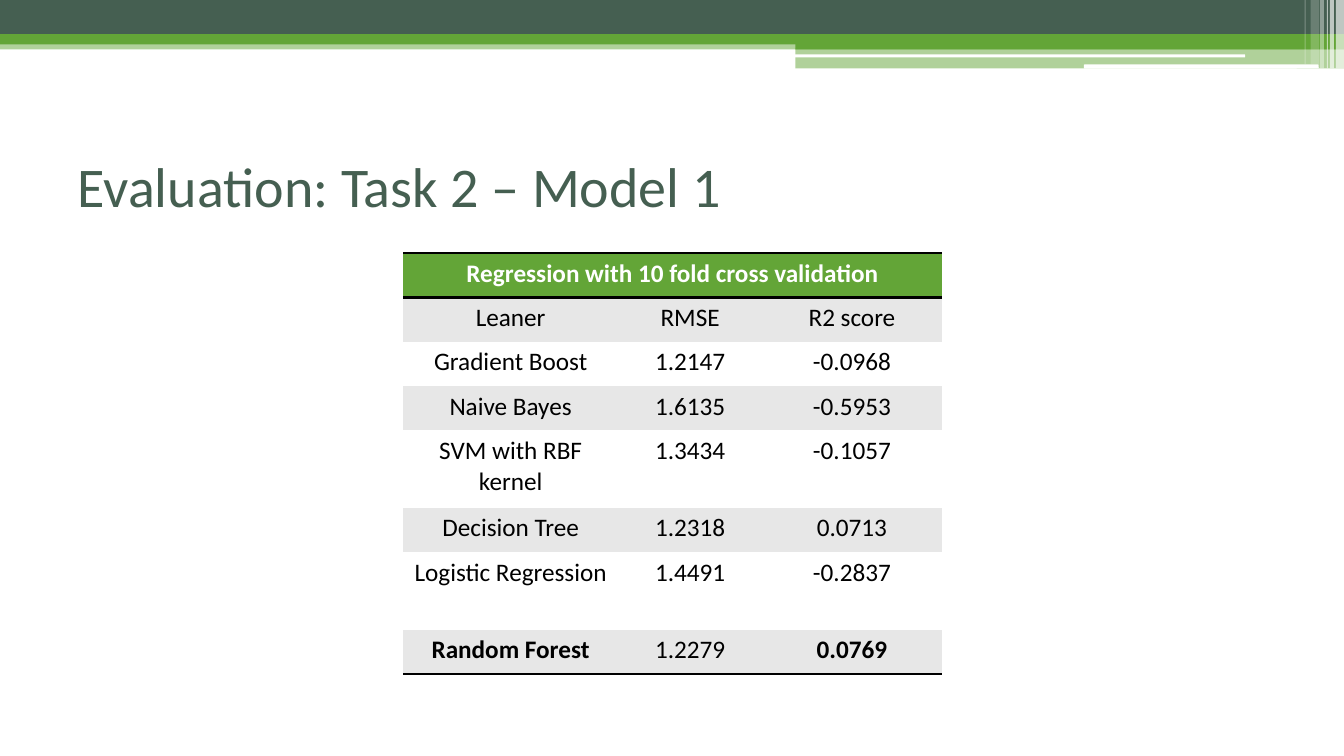
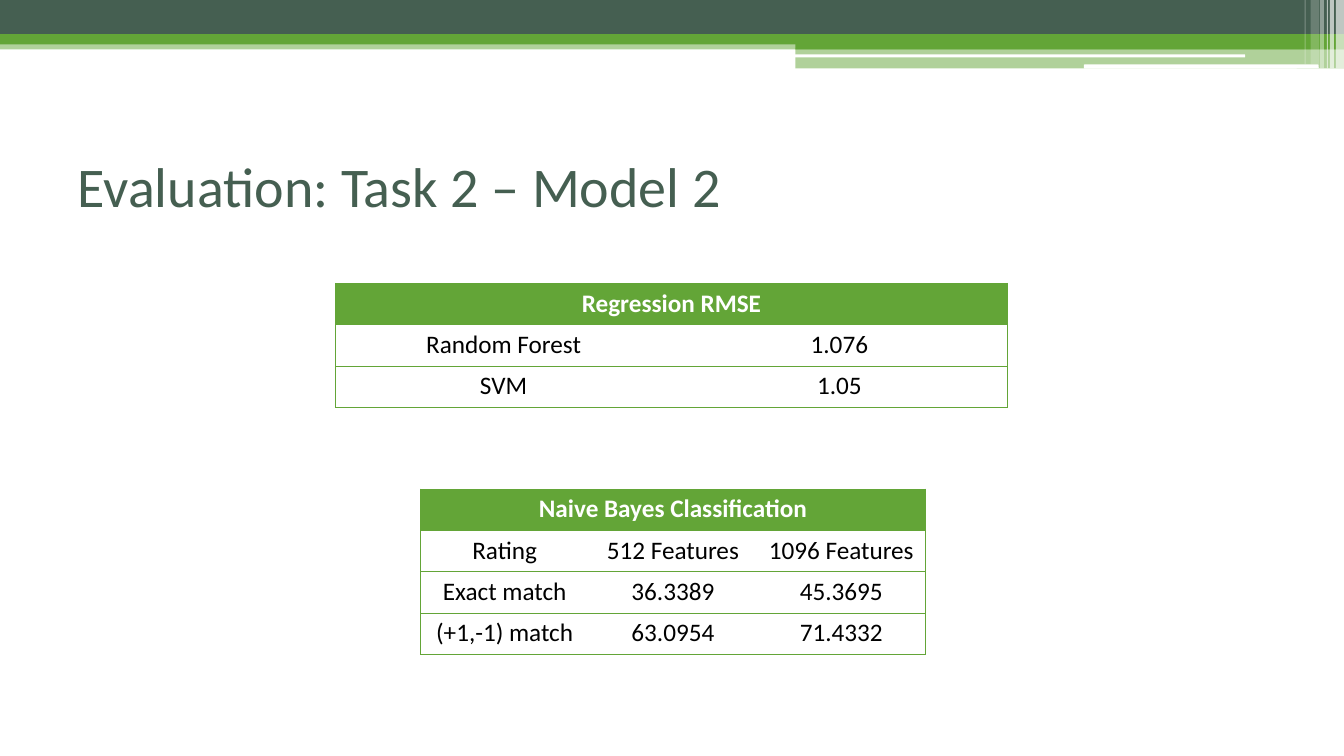
from lxml.etree import SubElement
from pptx import Presentation
from pptx.dml.color import RGBColor
from pptx.enum.shapes import MSO_SHAPE
from pptx.enum.text import MSO_ANCHOR, PP_ALIGN
from pptx.oxml.ns import qn
from pptx.util import Inches, Pt

DARK, GREEN, WHITE, BLACK, GREY = "455F51", "63A537", "FFFFFF", "000000", "E7E7E7"
FONT = "Calibri"
PLAIN_TABLE = "{2D5ABB26-0587-4C30-8999-92F81FD0307C}"
TITLE_BOX = (0.67, 1.25, 12, 1.17)
RECT, ROUNDED = MSO_SHAPE.RECTANGLE, MSO_SHAPE.ROUNDED_RECTANGLE

BANDS = [
    (RECT, (0, 0.4, 13.33, 0.09), GREEN, 50),
    (RECT, (0, 0, 13.33, 0.34), DARK, 100),
    (RECT, (0, 0.34, 13.33, 0.1), GREEN, 100),
    (RECT, (7.89, 0.39, 5.44, 0.1), GREEN, 100),
    (RECT, (7.89, 0.48, 5.44, 0.2), GREEN, 50),
    (ROUNDED, (7.88, 0.54, 4.47, 0.03), WHITE, 100),
    (ROUNDED, (10.75, 0.64, 2.33, 0.04), WHITE, 100),
]
STRIPES = [
    (13.25, 0.08, 0.68, 65),
    (13.19, 0.04, 0.68, 65),
    (13.16, 0.01, 0.68, 60),
    (13.09, 0.04, 0.68, 40),
    (13, 0.08, 0.64, 20),
    (12.94, 0.01, 0.64, 30),
]

LEARNER_SCORES = [
    ("Regression with 10 fold cross validation",),
    ("Leaner", "RMSE", "R2 score"),
    ("Gradient Boost", "1.2147", "-0.0968"),
    ("Naive Bayes", "1.6135", "-0.5953"),
    ("SVM with RBF kernel", "1.3434", "-0.1057"),
    ("Decision Tree", "1.2318", "0.0713"),
    ("Logistic Regression", "1.4491", "-0.2837"),
    ("Random Forest", "1.2279", "0.0769"),
]
REGRESSION_RMSE = [
    ("Regression RMSE",),
    ("Random Forest", "1.076"),
    ("SVM", "1.05"),
]
BAYES_MATCHES = [
    ("Naive Bayes Classification",),
    ("Rating", "512 Features", "1096 Features"),
    ("Exact match", "36.3389", "45.3695"),
    ("(+1,-1) match", "63.0954", "71.4332"),
]


def paint(fill, color, opacity=100):
    """Give a fill a solid colour with an opacity in percent."""
    fill.solid()
    fill.fore_color.rgb = RGBColor.from_string(color)
    if opacity < 100:
        tint = fill._xPr.find(".//" + qn("a:srgbClr"))
        SubElement(tint, qn("a:alpha"), val=str(opacity * 1000))


def write(frame, text, size=18, color=BLACK, bold=False, align=PP_ALIGN.CENTER):
    """Put formatted text in a text frame."""
    paragraph = frame.paragraphs[0]
    paragraph.alignment = align
    run = paragraph.add_run()
    run.text = text
    run.font.name = FONT
    run.font.size = Pt(size)
    run.font.bold = bold
    run.font.color.rgb = RGBColor.from_string(color)


def add_band(slide, preset, box, color, opacity):
    """Draw one flat band and return it."""
    band = slide.shapes.add_shape(preset, *map(Inches, box))
    band.shadow.inherit = False
    band.line.fill.background()
    paint(band.fill, color, opacity)
    return band


def add_banner(slide, layout):
    """Build the top banner and hand it to the layout that slides share."""
    stripes = [(RECT, (left, 0, width, height), WHITE, opacity)
               for left, width, height, opacity in STRIPES]
    for part in BANDS + stripes:
        layout.shapes.element.append(add_band(slide, *part).element)


def set_title(slide, text):
    """Place and fill the slide title."""
    title = slide.shapes.title
    title.left, title.top, title.width, title.height = map(Inches, TITLE_BOX)
    title.text_frame.vertical_anchor = MSO_ANCHOR.MIDDLE
    write(title.text_frame, text, size=40, color=DARK, align=PP_ALIGN.LEFT)


def set_borders(cell, sides, color, points):
    """Draw the named sides of a cell and clear the others."""
    properties = cell._tc.get_or_add_tcPr()
    for side in "LRTB":
        line = SubElement(properties, qn("a:ln" + side), w=str(Pt(points)))
        if side in sides:
            solid = SubElement(line, qn("a:solidFill"))
            SubElement(solid, qn("a:srgbClr"), val=color)
        else:
            SubElement(line, qn("a:noFill"))


def add_grid(slide, left, top, columns, heights, rows, borders, stripe=WHITE, bold=()):
    """Add a table with a merged green header; borders maps a row and column to sides."""
    box = (left, top, sum(columns), sum(heights))
    table = slide.shapes.add_table(len(rows), len(columns), *map(Inches, box)).table
    table.first_row = table.horz_banding = False
    table._tbl.tblPr.find(qn("a:tableStyleId")).text = PLAIN_TABLE
    for column, width in zip(table.columns, columns):
        column.width = Inches(width)
    for row, height in zip(table.rows, heights):
        row.height = Inches(height)
    table.cell(0, 0).merge(table.cell(0, len(columns) - 1))
    for row in range(len(rows)):
        for column in range(len(columns)):
            cell = table.cell(row, column)
            set_borders(cell, *borders(row, column))
            paint(cell.fill, GREEN if row == 0 else stripe if row % 2 else WHITE)
        for column, text in enumerate(rows[row]):
            write(table.cell(row, column).text_frame, text,
                  color=BLACK if row else WHITE, bold=row == 0 or (row, column) in bold)


def add_striped_table(slide, left, top, columns, heights, rows, bold):
    """Add a grey striped table ruled in black around its header and at its foot."""
    rules = {0: "TB", 1: "T", len(rows) - 1: "B"}
    add_grid(slide, left, top, columns, heights, rows,
             lambda row, column: (rules.get(row, ""), BLACK, 2), GREY, bold)


def add_ruled_table(slide, left, top, columns, rows):
    """Add a white table with a thin green outline and row rules."""
    def borders(row, column):
        """Return the sides of one cell, its line colour and its width."""
        first = "L" if column == 0 else ""
        last = "R" if column == len(columns) - 1 or row == 0 else ""
        return "TB" + first + last, GREEN, 0.5

    add_grid(slide, left, top, columns, [0.41] * len(rows), rows, borders)


def build_model_1(slide):
    """Fill the slide on the first model."""
    set_title(slide, "Evaluation: Task 2 – Model 1")
    heights = [0.77 if row in (4, 6) else 0.44 for row in range(len(LEARNER_SCORES))]
    add_striped_table(slide, 4, 2.51, [2.13, 1.43, 1.78], heights,
                      LEARNER_SCORES, bold={(7, 0), (7, 2)})


def build_model_2(slide):
    """Fill the slide on the second model."""
    set_title(slide, "Evaluation: Task 2 – Model 2")
    add_ruled_table(slide, 3.33, 2.81, [3.33] * 2, REGRESSION_RMSE)
    add_ruled_table(slide, 4.17, 4.85, [1.67] * 3, BAYES_MATCHES)


def main():
    """Build and save the presentation."""
    deck = Presentation()
    deck.slide_width, deck.slide_height = Inches(13.33), Inches(7.5)
    layout = deck.slide_layouts[5]
    model_1, model_2 = (deck.slides.add_slide(layout) for _ in range(2))
    add_banner(model_1, layout)
    build_model_1(model_1)
    build_model_2(model_2)
    deck.save("out.pptx")


if __name__ == "__main__":
    main()
